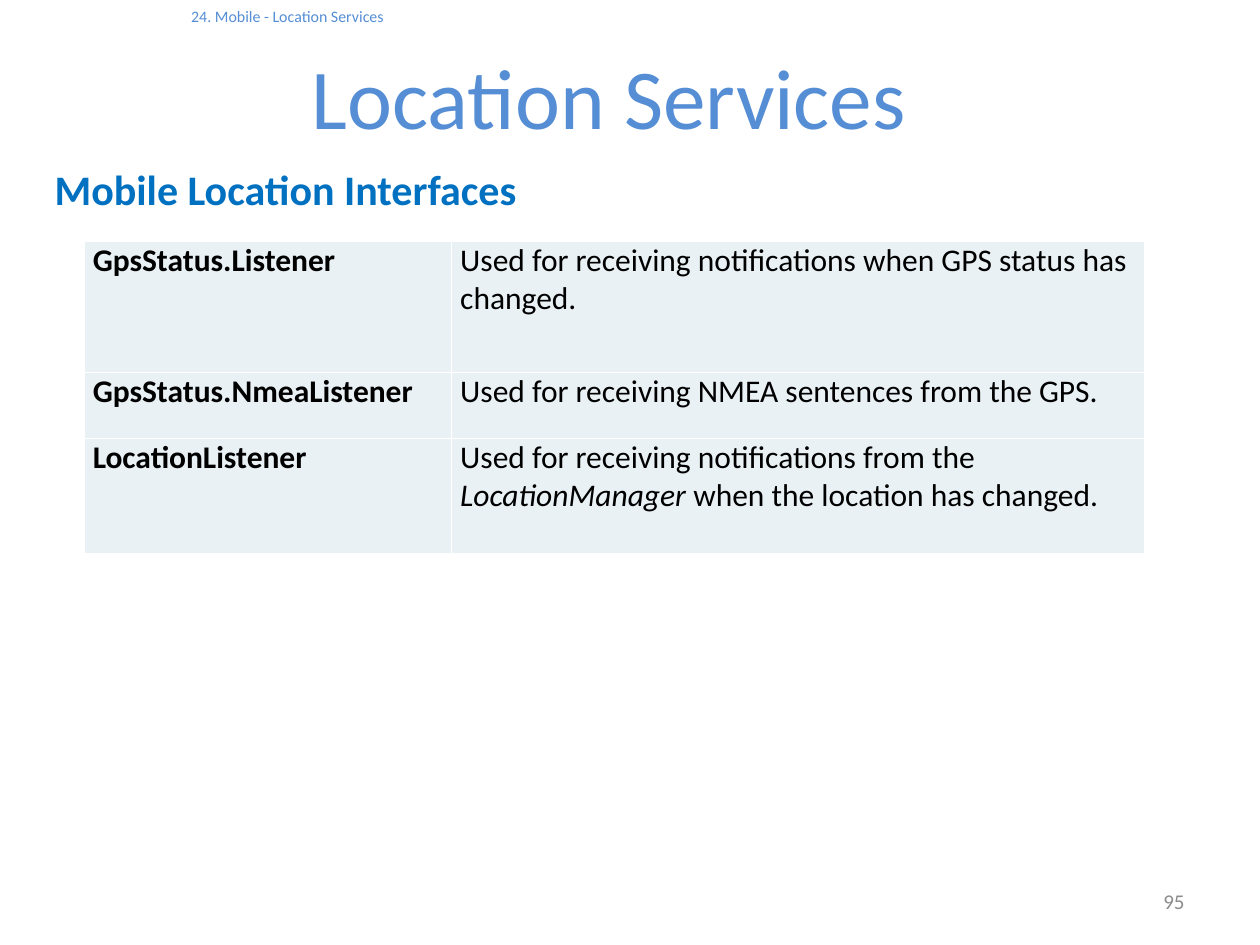
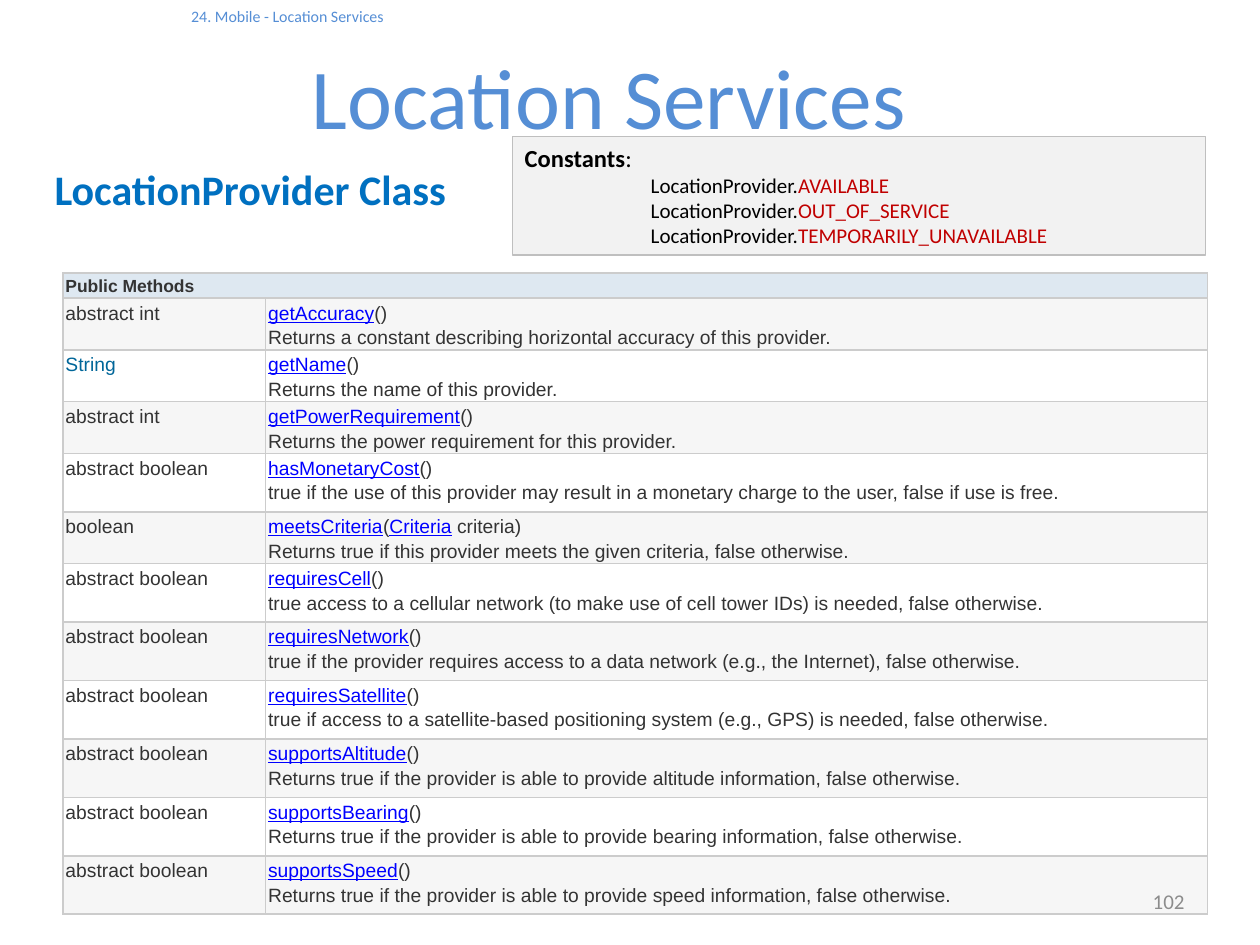
import pptx
import pptx.dml.color
import pptx.enum.shapes
import pptx.enum.text
import pptx.oxml
import pptx.oxml.ns
import pptx.util

RGB = pptx.dml.color.RGBColor
Pt = pptx.util.Pt
ALIGN = pptx.enum.text.PP_ALIGN
ANCHOR = pptx.enum.text.MSO_ANCHOR

TITLE_BLUE = RGB(0x55, 0x8E, 0xD5)
HEADING_BLUE = RGB(0x00, 0x70, 0xC0)
LINK_BLUE = RGB(0x00, 0x00, 0xFF)
TYPE_BLUE = RGB(0x00, 0x66, 0x99)
BLACK = RGB(0x00, 0x00, 0x00)
DARK = RGB(0x33, 0x33, 0x33)
GREY = RGB(0x8C, 0x8C, 0x8C)
RED = RGB(0xC0, 0x00, 0x00)
WHITE = RGB(0xFF, 0xFF, 0xFF)
RULE_GREY = RGB(0xCC, 0xCC, 0xCC)
BOX_FILL = RGB(0xF2, 0xF2, 0xF2)
BOX_LINE = RGB(0xBF, 0xBF, 0xBF)
INTERFACE_FILL = RGB(0xE9, 0xF1, 0xF5)
HEADER_FILL = RGB(0xDE, 0xE8, 0xF1)
STRIPE_FILL = RGB(0xF6, 0xF6, 0xF6)

CHAPTER = "24. Mobile - Location Services"
TITLE = "Location Services"

PLAIN, BOLD, ITALIC = {}, {"bold": True}, {"italic": True}
LINK = {"rgb": LINK_BLUE, "underline": True}
CONSTANT = {"rgb": RED}

INTERFACES = [
    ("GpsStatus.Listener",
     [("Used for receiving notifications when GPS status has changed.", PLAIN)], 12.5),
    ("GpsStatus.NmeaListener",
     [("Used for receiving NMEA sentences from the GPS.", PLAIN)], 6.25),
    ("LocationListener",
     [("Used for receiving notifications from the ", PLAIN),
      ("LocationManager", ITALIC),
      (" when the location has changed.", PLAIN)], 11),
]

SHORT, TALL = 4.92, 5.57
METHODS_HEADER = "Public Methods"
METHODS = [
    ("abstract int", ["getAccuracy", "()"],
     "Returns a constant describing horizontal accuracy of this provider.", SHORT),
    ("String", ["getName", "()"],
     "Returns the name of this provider.", SHORT),
    ("abstract int", ["getPowerRequirement", "()"],
     "Returns the power requirement for this provider.", SHORT),
    ("abstract boolean", ["hasMonetaryCost", "()"],
     "true if the use of this provider may result in a monetary charge to the user, "
     "false if use is free.", TALL),
    ("boolean", ["meetsCriteria", "(", "Criteria", " criteria)"],
     "Returns true if this provider meets the given criteria, false otherwise.", SHORT),
    ("abstract boolean", ["requiresCell", "()"],
     "true access to a cellular network (to make use of cell tower IDs) is needed, "
     "false otherwise.", TALL),
    ("abstract boolean", ["requiresNetwork", "()"],
     "true if the provider requires access to a data network (e.g., the Internet), "
     "false otherwise.", TALL),
    ("abstract boolean", ["requiresSatellite", "()"],
     "true if access to a satellite-based positioning system (e.g., GPS) is needed, "
     "false otherwise.", TALL),
    ("abstract boolean", ["supportsAltitude", "()"],
     "Returns true if the provider is able to provide altitude information, "
     "false otherwise.", TALL),
    ("abstract boolean", ["supportsBearing", "()"],
     "Returns true if the provider is able to provide bearing information, "
     "false otherwise.", TALL),
    ("abstract boolean", ["supportsSpeed", "()"],
     "Returns true if the provider is able to provide speed information, "
     "false otherwise.", TALL),
]

CONSTANTS = ["AVAILABLE", "OUT_OF_SERVICE", "TEMPORARILY_UNAVAILABLE"]

CALIBRI = {"name": "Calibri", "bold": False, "rgb": BLACK}
CHAPTER_FONT = {**CALIBRI, "size": Pt(9.1), "rgb": TITLE_BLUE}
TITLE_FONT = {**CHAPTER_FONT, "size": Pt(48.7)}
HEADING_FONT = {**CALIBRI, "size": Pt(24), "bold": True, "rgb": HEADING_BLUE}
NUMBER_FONT = {**CALIBRI, "size": Pt(12), "rgb": GREY}
INTERFACE_FONT = {**CALIBRI, "size": Pt(18)}
METHOD_FONT = {"name": "Arial", "size": Pt(11), "bold": False, "rgb": DARK}
HEADER_FONT = {**METHOD_FONT, "size": Pt(10), "bold": True}
LABEL_FONT = {**CALIBRI, "size": Pt(14)}
CONSTANT_FONT = {**CALIBRI, "size": Pt(12)}

LEFT = {"alignment": ALIGN.LEFT, "space_before": Pt(0)}
METHOD_LINES = {**LEFT, "line_spacing": 1.15}

GRID_COLUMNS, GRID_ROWS = 120, 90
UNIT = pptx.util.Inches(10) // GRID_COLUMNS
TITLE_AREA = (4, 0.6, 108, 11.4)
HEADING_AREA = (4, 15, 108, 6)
NUMBER_AREA = (86, 83.4, 28, 4.8)
CONSTANTS_AREA = (48.8, 13, 66, 11.3)


def units(count):
    return round(count * UNIT)


def place(part, area):
    edges = zip(("left", "top", "width", "height"), area)
    for edge, count in edges:
        setattr(part, edge, units(count))


def set_all(target, values):
    for attribute, value in values.items():
        setattr(target, attribute, value)


def set_font(font, values):
    for attribute, value in values.items():
        if attribute == "rgb":
            font.color.rgb = value
        else:
            setattr(font, attribute, value)


def write(paragraph, runs, font, layout, indent=0):
    properties = paragraph._p.get_or_add_pPr()
    properties.set("marL", str(units(indent)))
    properties.set("indent", "0")
    properties.append(element("<a:buNone %s/>"))
    set_all(paragraph, layout)
    for text, style in runs:
        if text == "\n":
            paragraph.add_line_break()
            continue
        run = paragraph.add_run()
        run.text = text
        set_font(run.font, {**font, **style})


def element(markup):
    return pptx.oxml.parse_xml(markup % pptx.oxml.ns.nsdecls("a"))


def frame_of(part, anchor):
    frame = part.text_frame
    set_all(frame, {"word_wrap": True, "vertical_anchor": anchor,
                    "auto_size": pptx.enum.text.MSO_AUTO_SIZE.NONE})
    return frame


def start_slide(deck, heading):
    slide = deck.slides.add_slide(deck.slide_layouts[1])
    title, body = slide.placeholders
    place(title, TITLE_AREA)
    banner = frame_of(title, ANCHOR.TOP)
    banner.margin_top = 0
    write(banner.paragraphs[0], [(CHAPTER, PLAIN)], CHAPTER_FONT, LEFT, indent=13)
    write(banner.add_paragraph(), [(TITLE, PLAIN)], TITLE_FONT,
          {"alignment": ALIGN.CENTER, "space_before": Pt(11)})
    place(body, HEADING_AREA)
    write(frame_of(body, ANCHOR.TOP).paragraphs[0], [(heading, PLAIN)],
          HEADING_FONT, LEFT)
    return slide


def add_number(slide, number):
    box = slide.shapes.add_textbox(*map(units, NUMBER_AREA))
    write(frame_of(box, ANCHOR.MIDDLE).paragraphs[0], [(number, PLAIN)],
          NUMBER_FONT, {"alignment": ALIGN.RIGHT})


def add_grid(slide, left, top, widths, heights):
    area = (left, top, sum(widths), sum(heights))
    grid = slide.shapes.add_table(len(heights), len(widths), *map(units, area)).table
    set_all(grid, {"first_row": False, "horz_banding": False})
    for column, width in zip(grid.columns, widths):
        column.width = units(width)
    for row, height in zip(grid.rows, heights):
        row.height = units(height)
    return grid


def fill_cell(cell, runs, font, layout, fill, border, margins):
    side, end = map(pptx.util.Inches, margins)
    set_all(cell, {"margin_left": side, "margin_right": side,
                   "margin_top": end, "margin_bottom": end})
    write(cell.text_frame.paragraphs[0], runs, font, layout)
    if fill is None:
        cell.fill.background()
    else:
        cell.fill.solid()
        cell.fill.fore_color.rgb = fill
    properties = cell._tc.get_or_add_tcPr()
    for position, edge in enumerate(("lnL", "lnR", "lnT", "lnB")):
        properties.insert(position, element(
            f'<a:{edge} %s w="{Pt(1)}"><a:solidFill><a:srgbClr val="{border}"/>'
            f"</a:solidFill></a:{edge}>"))


def add_interfaces(slide):
    heights = [height for _, _, height in INTERFACES]
    grid = add_grid(slide, 8, 23, (35, 66), heights)
    for row, (interface, purpose, _) in enumerate(INTERFACES):
        for column, runs in enumerate(([(interface, BOLD)], purpose)):
            fill_cell(grid.cell(row, column), runs, INTERFACE_FONT, LEFT,
                      INTERFACE_FILL, WHITE, (0.07, 0))


def add_methods(slide):
    heights = [2.4] + [method[-1] for method in METHODS]
    grid = add_grid(slide, 6, 26, (19.3, 89.7), heights)
    grid.cell(0, 0).merge(grid.cell(0, 1))
    for column, runs in enumerate(([(METHODS_HEADER, PLAIN)], [])):
        fill_cell(grid.cell(0, column), runs, HEADER_FONT, METHOD_LINES,
                  HEADER_FILL, RULE_GREY, (0.02, 0.01))
    for row, (returned, signature, purpose, _) in enumerate(METHODS, 1):
        type_style = {"rgb": TYPE_BLUE} if returned == "String" else PLAIN
        call = [(part, PLAIN if index % 2 else LINK)
                for index, part in enumerate(signature)]
        entries = ([(returned, type_style)], call + [("\n", PLAIN), (purpose, PLAIN)])
        for column, runs in enumerate(entries):
            fill_cell(grid.cell(row, column), runs, METHOD_FONT, METHOD_LINES,
                      STRIPE_FILL if row % 2 else None, RULE_GREY, (0.02, 0.01))


def add_constants(slide):
    box = slide.shapes.add_shape(pptx.enum.shapes.MSO_SHAPE.RECTANGLE,
                                 *map(units, CONSTANTS_AREA))
    box.shadow.inherit = False
    box.fill.solid()
    box.fill.fore_color.rgb = BOX_FILL
    box.line.color.rgb = BOX_LINE
    box.line.width = Pt(0.75)
    frame = frame_of(box, ANCHOR.TOP)
    write(frame.paragraphs[0], [("Constants", BOLD), (":", PLAIN)], LABEL_FONT, LEFT)
    for constant in CONSTANTS:
        write(frame.add_paragraph(),
              [("LocationProvider.", PLAIN), (constant, CONSTANT)],
              CONSTANT_FONT, LEFT, indent=12)


def main():
    deck = pptx.Presentation()
    deck.slide_width = UNIT * GRID_COLUMNS
    deck.slide_height = UNIT * GRID_ROWS

    interfaces = start_slide(deck, "Mobile Location Interfaces")
    add_interfaces(interfaces)
    add_number(interfaces, "95")

    provider = start_slide(deck, "LocationProvider Class")
    add_methods(provider)
    add_number(provider, "102")
    add_constants(provider)

    deck.save("out.pptx")


if __name__ == "__main__":
    main()
